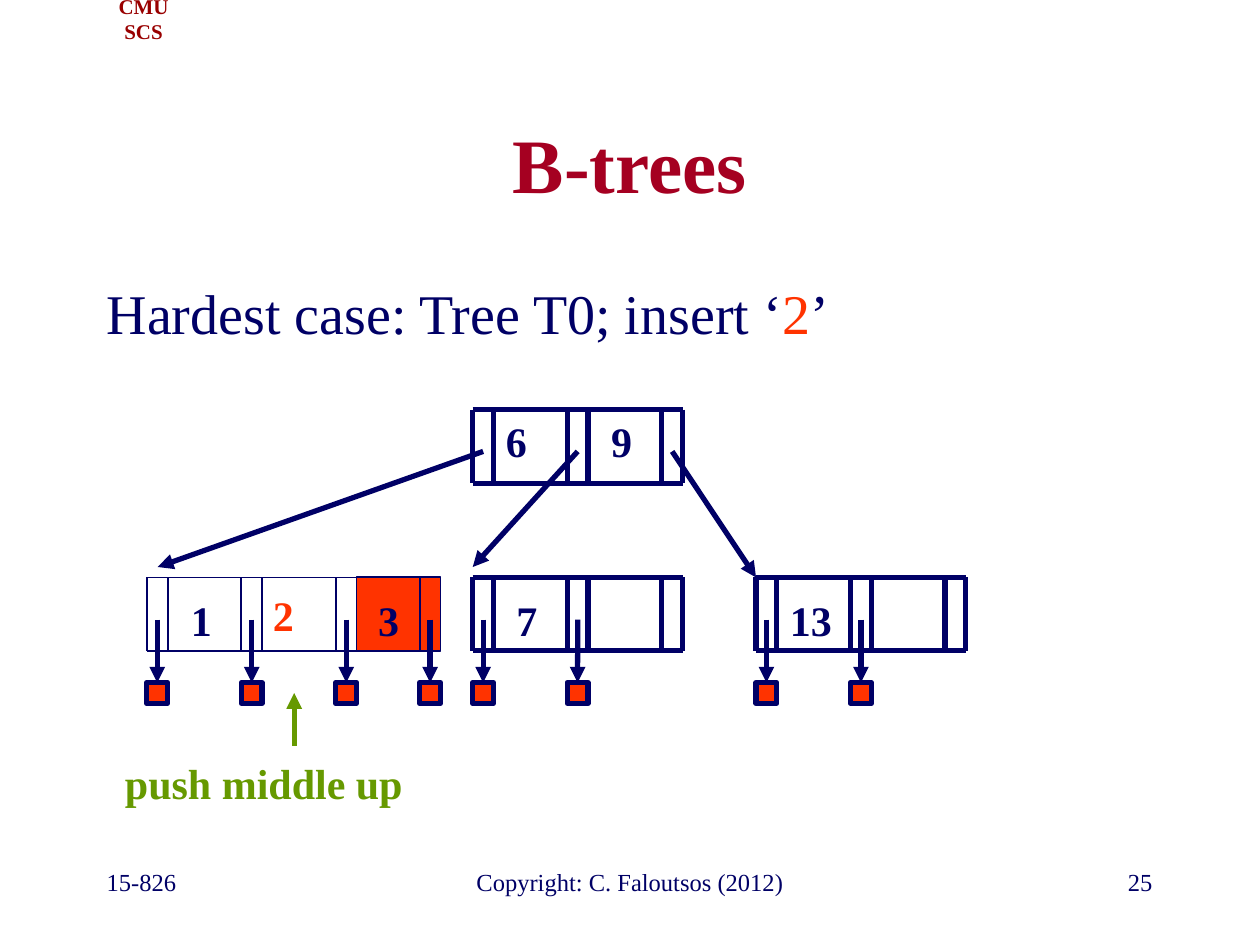
import pptx
import pptx.dml.color
import pptx.enum.shapes
import pptx.enum.text
import pptx.oxml
import pptx.oxml.ns
import pptx.util

Cm = pptx.util.Cm
Pt = pptx.util.Pt
ALIGN = pptx.enum.text.PP_ALIGN
ANCHOR = pptx.enum.text.MSO_ANCHOR
rgb = pptx.dml.color.RGBColor.from_string

NAVY, ORANGE, GREEN = "000066", "FF3300", "669900"

deck = pptx.Presentation()
deck.slide_width, deck.slide_height = Cm(25.4), Cm(19.05)
slide = deck.slides.add_slide(deck.slide_layouts[6])
shapes = slide.shapes


def write(text, left, top, width, height, size=24, color=NAVY, bold=False,
          align=ALIGN.CENTER, anchor=ANCHOR.TOP, wrap=True, accent=""):
    box = shapes.add_textbox(Cm(left), Cm(top), Cm(width), Cm(height))
    frame = box.text_frame
    frame.word_wrap = wrap
    frame.vertical_anchor = anchor
    paragraph = frame.paragraphs[0]
    paragraph.alignment = align
    for part in text.partition(accent) if accent else [text]:
        run = paragraph.add_run()
        run.text = part
        run.font.name = "Times New Roman"
        run.font.size = Pt(size)
        run.font.bold = bold
        run.font.color.rgb = rgb(ORANGE if part == accent else color)


def draw_line(x1, y1, x2, y2, weight=3, color=NAVY, arrow=False, target=None):
    line = shapes.add_connector(pptx.enum.shapes.MSO_CONNECTOR.STRAIGHT,
                                Cm(x1), Cm(y1), Cm(x2), Cm(y2))
    line.line.width = Pt(weight)
    line.line.color.rgb = rgb(color)
    if arrow:
        head = pptx.oxml.parse_xml(
            f'<a:tailEnd {pptx.oxml.ns.nsdecls("a")} type="triangle"/>')
        line.line._get_or_add_ln().append(head)
    line._element.spPr.append(
        pptx.oxml.parse_xml(f'<a:effectLst {pptx.oxml.ns.nsdecls("a")}/>'))
    if target is not None:
        line.end_connect(target, 0)


write("CMU SCS", 1.7, 0, 2.39, 0.76, size=12, color="990000", bold=True,
      anchor=ANCHOR.MIDDLE, wrap=False)
footers = [
    ("15-826", 1.9, 5.28, ALIGN.LEFT),
    ("Copyright: C. Faloutsos (2012)", 8.68, 8.04, ALIGN.CENTER),
    ("25", 18.2, 5.28, ALIGN.RIGHT),
]
for text, left, width, align in footers:
    write(text, left, 17.36, width, 1.27, size=14, align=align)
write("B-trees", 1.9, 1.69, 21.59, 3.18, size=44, color="A50021", bold=True,
      anchor=ANCHOR.MIDDLE)
write("Hardest case: Tree T0; insert ‘2’", 1.9, 5.5, 21.59, 1.69, size=32,
      align=ALIGN.LEFT, accent="2")

slot, step, node_height = 0.42, 1.905, 1.48
node_width = 2 * step + slot
root_top, leaf_top, record_top = 8.26, 11.64, 13.76
left_leaf, middle_leaf, right_leaf = 2.96, 9.53, 15.24

nodes = [
    (middle_leaf, root_top, 3),
    (left_leaf, leaf_top, 1),
    (middle_leaf, leaf_top, 3),
    (right_leaf, leaf_top, 3),
]
for left, top, weight in nodes:
    for index in range(3):
        for x in (left + index * step, left + index * step + slot):
            draw_line(x, top, x, top + node_height, weight)
    for y in (top, top + node_height):
        draw_line(left, y, left + node_width, y, weight)

overflow_left = left_leaf + node_width
overflow_width = 1.69
overflow_slot = overflow_left + overflow_width - slot
record_lefts = [leaf + index * step
                for leaf, count in [(left_leaf, 3), (middle_leaf, 2), (right_leaf, 2)]
                for index in range(count)] + [overflow_slot]
boxes = [(overflow_left, leaf_top, overflow_width, node_height, 1)]
boxes += [(left, record_top, slot, slot, 3) for left in record_lefts]
records = []
for left, top, width, height, weight in boxes:
    box = shapes.add_shape(pptx.enum.shapes.MSO_SHAPE.RECTANGLE,
                           Cm(left), Cm(top), Cm(width), Cm(height))
    box.shadow.inherit = False
    box.fill.solid()
    box.fill.fore_color.rgb = rgb(ORANGE)
    box.line.color.rgb = rgb(NAVY)
    box.line.width = Pt(weight)
    if top == record_top:
        records.append(box)

draw_line(overflow_slot, leaf_top + node_height, overflow_slot, leaf_top, 1)
for left, record in zip(record_lefts, records):
    center = left + slot / 2
    draw_line(center, 12.49, center, record_top, arrow=True, target=record)

children = [(3.18, 11.43), (middle_leaf, 11.43), (right_leaf, leaf_top)]
for index, (x, y) in enumerate(children):
    draw_line(middle_leaf + index * step + slot / 2, 9.1, x, y, arrow=True)

keys = [
    ("6", 9.95, root_top, 0.92, NAVY),
    ("9", 12.07, root_top, 0.92, NAVY),
    ("1", 3.6, 11.86, 0.92, NAVY),
    ("2", 5.25, 11.76, 0.92, ORANGE),
    ("3", 7.2, 11.86, 1.27, NAVY),
    ("7", 10.16, 11.86, 0.92, NAVY),
    ("13", 15.67, 11.86, 1.35, NAVY),
]
for key, left, top, width, color in keys:
    write(key, left, top, width, 1.27, color=color, bold=True, wrap=False)

draw_line(5.93, 15.03, 5.93, 13.97, color=GREEN, arrow=True)
write("push middle up", 2.27, 15.15, 6.1, 1.27, color=GREEN, bold=True, wrap=False)

deck.save("out.pptx")
